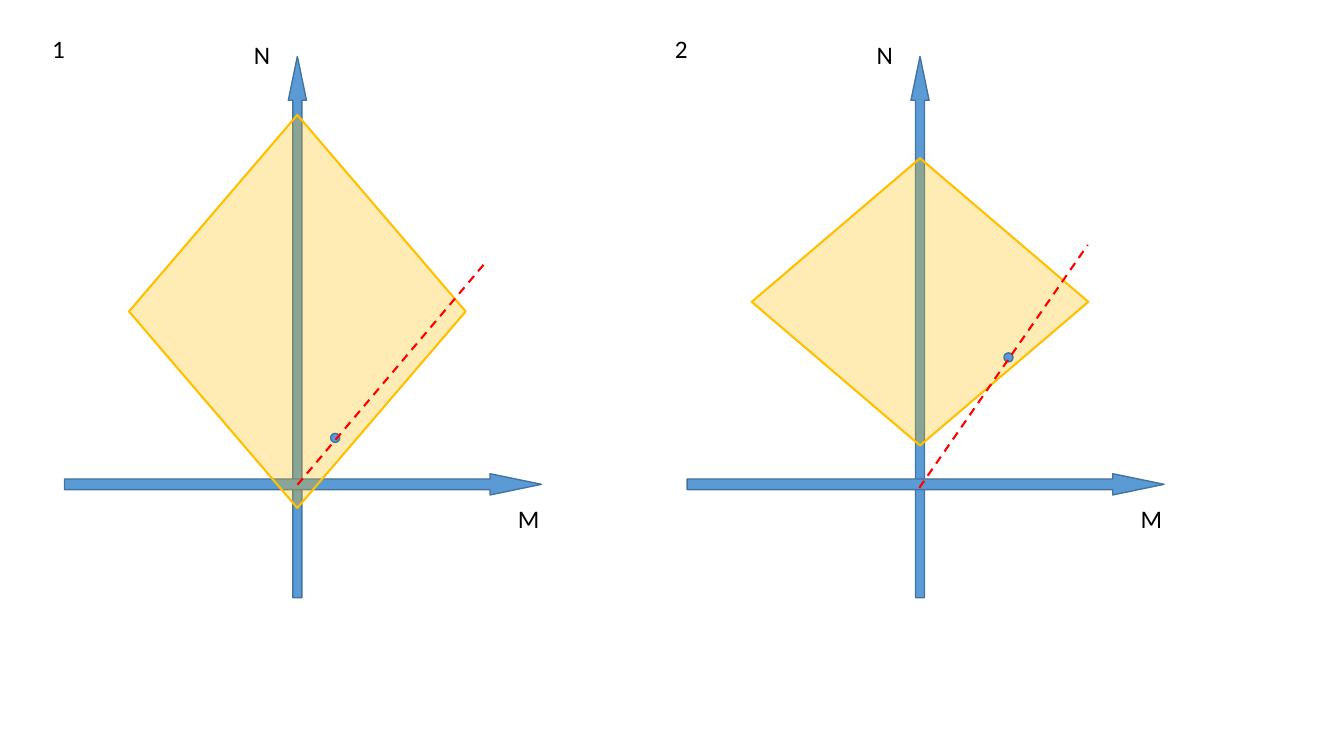
from lxml.etree import SubElement
from pptx import Presentation
from pptx.dml.color import RGBColor
from pptx.enum.dml import MSO_LINE
from pptx.enum.shapes import MSO_CONNECTOR, MSO_SHAPE
from pptx.enum.text import MSO_AUTO_SIZE
from pptx.oxml.ns import qn
from pptx.util import Inches, Pt

BLUE = RGBColor(0x5B, 0x9B, 0xD5)
NAVY = RGBColor(0x43, 0x73, 0x9E)
GOLD = RGBColor(0xFF, 0xC0, 0x00)
RED = RGBColor(0xFF, 0x00, 0x00)
BLACK = RGBColor(0x00, 0x00, 0x00)

WIDE, HIGH = Inches(13.33), Inches(7.5)
COL, ROW = WIDE / 100, HIGH / 100
STEP = 46.33

PANELS = [
    {"label": "1", "top": 15.2, "tall": 52, "dot": (24.6, 57.33),
     "start": (22.13, 64.13), "end": (36.15, 34.67)},
    {"label": "2", "top": 20.93, "tall": 38, "dot": (28.37, 46.67),
     "start": (22.07, 64.53), "end": (34.6, 32.4)},
]


def place(col, row):
    return round(col * COL), round(row * ROW)


def add_form(slide, kind, col, row, cols, rows, fill=BLUE, edge=NAVY, width=1, alpha=None):
    form = slide.shapes.add_shape(kind, *place(col, row), *place(cols, rows))
    form.shadow.inherit = False
    form.fill.solid()
    form.fill.fore_color.rgb = fill
    form.line.color.rgb = edge
    form.line.width = Pt(width)
    if alpha is not None:
        color = form.fill._xPr.find(qn("a:solidFill"))[0]
        SubElement(color, qn("a:alpha")).set("val", str(alpha * 1000))
    return form


def add_axis(slide, col, row, cols, rows, turn=0):
    axis = add_form(slide, MSO_SHAPE.UP_ARROW, col, row, cols, rows)
    axis.adjustments[0] = 0.5
    axis.adjustments[1] = 2.42
    axis.rotation = turn


def add_text(slide, text, col, row, cols, rows=5.33, size=18, font="Calibri", color=BLACK):
    box = slide.shapes.add_textbox(*place(col, row), *place(cols, rows))
    frame = box.text_frame
    frame.word_wrap = False
    frame.auto_size = MSO_AUTO_SIZE.SHAPE_TO_FIT_TEXT
    run = frame.paragraphs[0].add_run()
    run.text = text
    run.font.size = Pt(size)
    run.font.name = font
    run.font.color.rgb = color


def add_ray(slide, start, end):
    ray = slide.shapes.add_connector(MSO_CONNECTOR.STRAIGHT, *place(*start), *place(*end))
    ray.line.color.rgb = RED
    ray.line.width = Pt(1.5)
    ray.line.dash_style = MSO_LINE.DASH
    SubElement(ray._element.spPr, qn("a:effectLst"))


def add_panel(slide, left, label, top, tall, dot, start, end):
    add_axis(slide, left + 21.45, 7.47, 1.35, 71.6)
    add_axis(slide, left + 21.75, 32.53, 1.58, 63.07, turn=90)
    add_form(slide, MSO_SHAPE.DIAMOND, left + 9.6, top, 25.05, tall,
             fill=GOLD, edge=GOLD, width=1.5, alpha=29)
    add_text(slide, "N", left + 18.15, 4.53, 2.7)
    add_text(slide, "M", left + 37.8, 65.87, 3.15)
    add_text(slide, label, left + 3.15, 3.73, 2.48)
    add_form(slide, MSO_SHAPE.OVAL, left + dot[0], dot[1], 0.68, 1.2)
    add_ray(slide, (left + start[0], start[1]), (left + end[0], end[1]))


def main():
    deck = Presentation()
    deck.slide_width, deck.slide_height = WIDE, HIGH
    slide = deck.slides.add_slide(deck.slide_layouts[6])
    for index, panel in enumerate(PANELS):
        add_panel(slide, index * STEP, **panel)
    deck.save("out.pptx")


if __name__ == "__main__":
    main()
